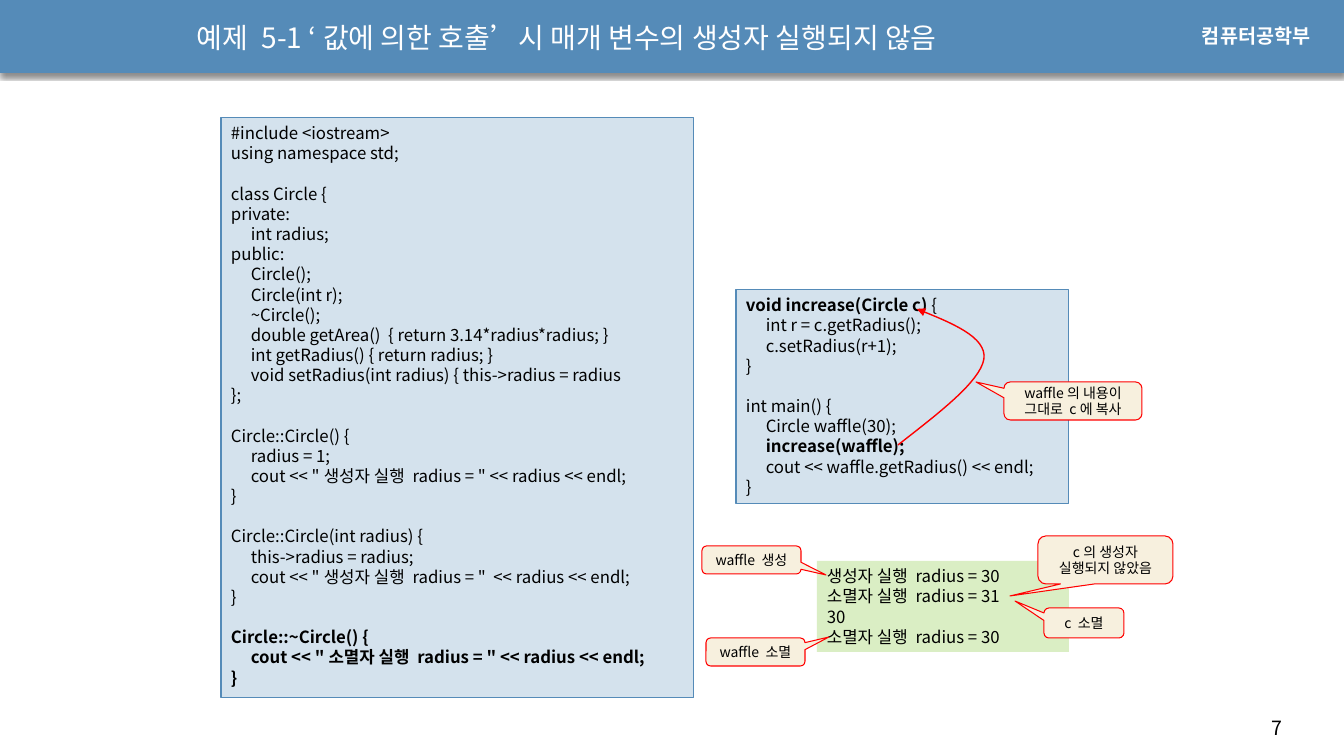
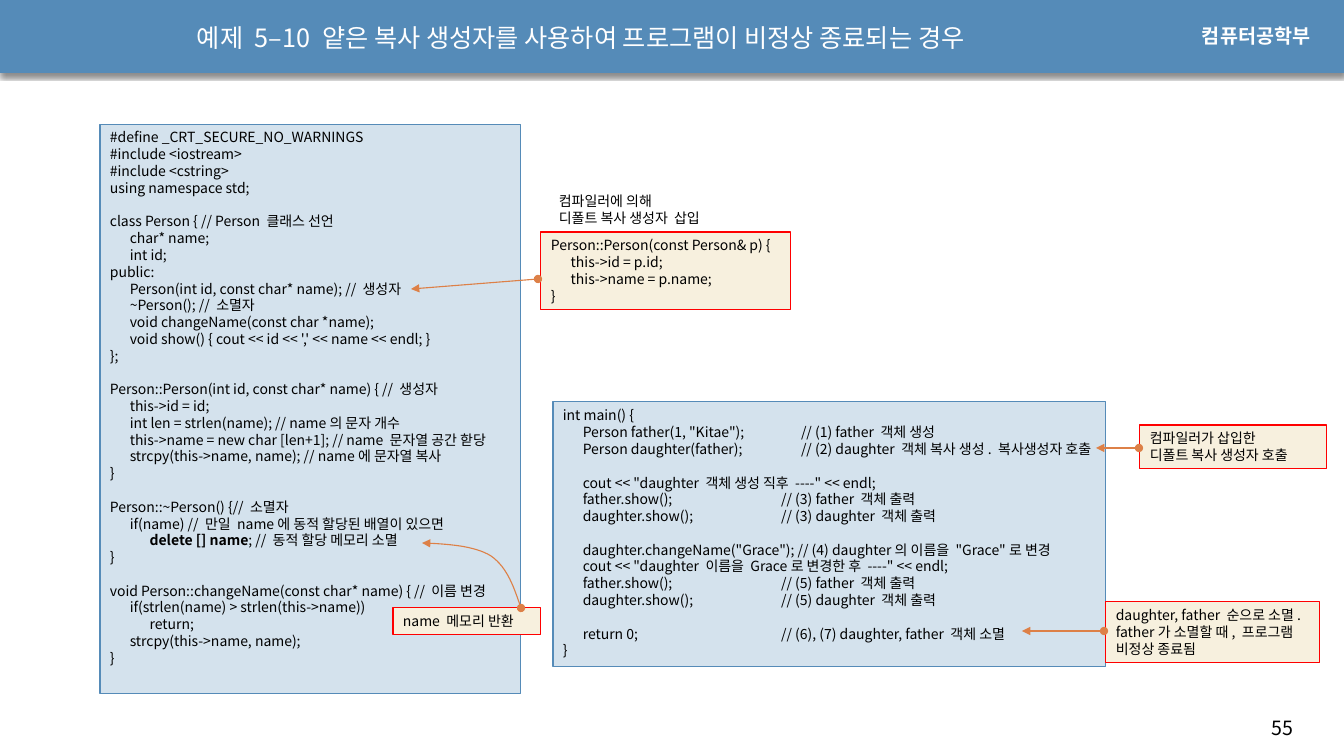
from lxml import etree
from pptx import Presentation
from pptx.dml.color import RGBColor
from pptx.enum.shapes import MSO_CONNECTOR, MSO_SHAPE
from pptx.enum.text import MSO_ANCHOR, PP_ALIGN
from pptx.oxml.ns import qn
from pptx.util import Mm, Pt

RECT = MSO_SHAPE.RECTANGLE
BUBBLE = MSO_SHAPE.ROUNDED_RECTANGULAR_CALLOUT
LINE = MSO_CONNECTOR.STRAIGHT
TOP, MID = MSO_ANCHOR.TOP, MSO_ANCHOR.MIDDLE
LEFT, MIDDLE = PP_ALIGN.LEFT, PP_ALIGN.CENTER

SCALE = 914400 / 100.8
SIZE = (1344, 756)

THEME = {
    "font": "Noto Sans CJK KR", "brand": "Arial",
    "band": "558BB8", "white": "FFFFFF", "ink": "000000",
    "code": "D4E2ED", "out": "DAEEC4", "note": "F7F0DE",
    "red": "FF0000", "orange": "DD8047",
    "edge": 0.75, "small": 10, "mark": 14,
    "lead": 1.2, "tab": Mm(5), "stops": 12,
}

# Box styles: fill, line
STYLES = {
    "code": ("code", "band"),
    "out": ("out", None),
    "note": ("note", "red"),
    "plain": (None, None),
}

# Arrow styles: colour, width, start mark
ARROWS = {"copy": ("red", 1, None), "link": ("orange", 0.79, "oval")}

# Content: ** switches bold on and off, an empty line opens a gap
CIRCLE = """#include <iostream>
using namespace std;

class Circle {
private:
\tint radius;
public:
\tCircle();
\tCircle(int r);
\t~Circle();
\tdouble getArea()  { return 3.14*radius*radius; }
\tint getRadius() { return radius; }
\tvoid setRadius(int radius) { this->radius = radius
};

Circle::Circle() {
\tradius = 1;
\tcout << "생성자 실행 radius = " << radius << endl;
}

Circle::Circle(int radius) {
\tthis->radius = radius;
\tcout << "생성자 실행 radius = "  << radius << endl;
}

**Circle::~Circle() {**
**\tcout << "소멸자 실행 radius = " << radius << endl;**
**}**"""

WAFFLE = """**void increase(Circle c) **{
\tint r = c.getRadius();
\tc.setRadius(r+1);
}

int main() {
\tCircle waffle(30);
\t**increase(waffle);**
\tcout << waffle.getRadius() << endl;
}"""

OUTPUT = """생성자 실행 radius = 30
소멸자 실행 radius = 31
30
소멸자 실행 radius = 30"""

PERSON = """#define _CRT_SECURE_NO_WARNINGS
#include <iostream>
#include <cstring>
using namespace std;

class Person { // Person 클래스 선언
\tchar* name;
\tint id;
public:
\tPerson(int id, const char* name); // 생성자
\t~Person(); // 소멸자
\tvoid changeName(const char *name);
\tvoid show() { cout << id << ',' << name << endl; }
};

Person::Person(int id, const char* name) { // 생성자
\tthis->id = id;
\tint len = strlen(name); // name의 문자 개수
\tthis->name = new char [len+1]; // name 문자열 공간 핟당
\tstrcpy(this->name, name); // name에 문자열 복사
}

Person::~Person() {// 소멸자
\tif(name) // 만일 name에 동적 할당된 배열이 있으면
\t\t**delete [] name**; // 동적 할당 메모리 소멸
}

void Person::changeName(const char* name) { // 이름 변경
\tif(strlen(name) > strlen(this->name))
\t\treturn;
\tstrcpy(this->name, name);
}"""

SHALLOW = """Person::Person(const Person& p) {
\tthis->id = p.id;
\tthis->name = p.name;
}"""

FAMILY = """int main() {
\tPerson father(1, "Kitae");\t\t\t// (1) father 객체 생성
\tPerson daughter(father);\t\t\t// (2) daughter 객체 복사 생성. 복사생성자 호출

\tcout << "daughter 객체 생성 직후 ----" << endl;
\tfather.show();\t\t\t\t\t\t// (3) father 객체 출력
\tdaughter.show();\t\t\t\t\t// (3) daughter 객체 출력

\tdaughter.changeName("Grace"); // (4) daughter의 이름을 "Grace"로 변경
\tcout << "daughter 이름을 Grace로 변경한 후 ----" << endl;
\tfather.show();\t\t\t\t\t\t// (5) father 객체 출력
\tdaughter.show();\t\t\t\t\t// (5) daughter 객체 출력

\treturn 0;\t\t\t\t\t\t\t\t// (6), (7) daughter, father 객체 소멸
}"""

# boxes: style, place, text; bubbles: place, tip, text; arrows: style, points
SLIDES = [
    {
        "title": "예제 5-1 ‘값에 의한 호출’시 매개 변수의 생성자 실행되지 않음",
        "head": 20, "body": 12, "page": "7",
        "boxes": [
            ("code", (221, 118, 473, 580), CIRCLE),
            ("code", (736, 290, 333, 214), WAFFLE),
            ("out", (817, 561, 252, 91), OUTPUT),
        ],
        "bubbles": [
            ((702, 546, 99, 28), (826, 575), "waffle 생성"),
            ((1044, 608, 80, 30), (1015, 601), "c 소멸"),
            ((1038, 536, 135, 48), (1010, 596), "c의 생성자\n실행되지 않았음"),
            ((706, 638, 99, 28), (829, 637), "waffle 소멸"),
            ((1004, 382, 138, 38), (976, 382), "waffle의 내용이\n그대로 c에 복사"),
        ],
        "arrows": [
            ("copy", [(898, 445), (939, 413), (980, 382), (984, 359),
                      (987, 337), (952, 323), (917, 309)]),
        ],
    },
    {
        "title": "예제 5–10 얕은 복사 생성자를 사용하여 프로그램이 비정상 종료되는 경우",
        "head": 18, "body": 10, "page": "55",
        "boxes": [
            ("code", (100, 124, 421, 570), PERSON),
            ("note", (541, 232, 250, 78), SHALLOW),
            ("plain", (549, 188, 195, 44), "컴파일러에 의해\n디폴트 복사 생성자  삽입"),
            ("note", (393, 608, 148, 27), "name 메모리 반환"),
            ("code", (553, 402, 553, 265), FAMILY),
            ("note", (1140, 425, 187, 44), "컴파일러가 삽입한\n디폴트 복사 생성자 호출"),
            ("note", (1106, 602, 214, 61),
             "daughter, father 순으로 소멸.\nfather가 소멸할 때, 프로그램\n비정상 종료됨"),
        ],
        "bubbles": [],
        "arrows": [
            ("link", [(521, 608), (514, 588), (508, 568), (491, 556),
                      (475, 546), (449, 544), (422, 543)]),
            ("link", [(538, 279), (411, 289)]),
            ("link", [(1139, 448), (1096, 448)]),
            ("link", [(1104, 631), (1022, 631)]),
        ],
    },
]


def emu(*vals):
    return [round(val * SCALE) for val in vals]


def tint(name):
    return RGBColor.from_string(THEME[name])


def node(base, tag, **attrs):
    item = etree.SubElement(base, qn(tag))
    for key, val in attrs.items():
        item.set(key, str(val))
    return item


# Text
def write(shape, text, size, color="ink", align=LEFT, anchor=TOP,
          font="font", bold=False):
    frame = shape.text_frame
    frame.word_wrap = True
    frame.vertical_anchor = anchor
    lead = Pt(size * THEME["lead"])
    para, gap = None, False
    for line in text.split("\n"):
        if not line:
            gap = True
            continue
        para = frame.add_paragraph() if para else frame.paragraphs[0]
        form = {"alignment": align, "line_spacing": lead,
                "space_before": lead if gap else Pt(0)}
        for key, val in form.items():
            setattr(para, key, val)
        if "\t" in line:
            tabs = node(para._p.get_or_add_pPr(), "a:tabLst")
            for stop in range(1, THEME["stops"] + 1):
                node(tabs, "a:tab", pos=stop * THEME["tab"], algn="l")
        for turn, part in enumerate(line.split("**")):
            if part:
                run = para.add_run()
                run.text = part
                form = {"name": THEME[font], "size": Pt(size),
                        "bold": bold or turn % 2 == 1}
                for key, val in form.items():
                    setattr(run.font, key, val)
                run.font.color.rgb = tint(color)
                node(run._r.get_or_add_rPr(), "a:ea", typeface=THEME[font])
        gap = False


def label(slide, place, text, size, **form):
    write(slide.shapes.add_textbox(*emu(*place)), text, size, **form)


# Shapes
def block(slide, kind, place, fill, edge):
    shape = slide.shapes.add_shape(kind, *emu(*place))
    shape.shadow.inherit = False
    shape.fill.solid()
    shape.fill.fore_color.rgb = tint(fill)
    if edge:
        shape.line.color.rgb = tint(edge)
        shape.line.width = Pt(THEME["edge"])
    else:
        shape.line.fill.background()
    return shape


def bubble(slide, place, tip, text):
    shape = block(slide, BUBBLE, place, *STYLES["note"])
    left, top, wide, high = place
    shape.adjustments[0] = (tip[0] - left) / wide - 0.5
    shape.adjustments[1] = (tip[1] - top) / high - 0.5
    write(shape, text, THEME["small"], align=MIDDLE, anchor=MID)


def trace(points, steps=16):
    """Points along joined cubic curves."""
    path = [points[0]]
    for start in range(0, len(points) - 1, 3):
        quad = points[start:start + 4]
        for step in range(1, steps + 1):
            t = step / steps
            u = 1 - t
            parts = (u ** 3, 3 * u * u * t, 3 * u * t * t, t ** 3)
            path.append(tuple(sum(w * p[axis] for w, p in zip(parts, quad))
                              for axis in (0, 1)))
    return path


def arrow(slide, style, points):
    color, width, start = ARROWS[style]
    if len(points) == 2:
        shape = slide.shapes.add_connector(LINE, *emu(*points[0], *points[1]))
    else:
        path = [emu(*point) for point in trace(points)]
        pen = slide.shapes.build_freeform(*path[0])
        pen.add_line_segments(path[1:], close=False)
        shape = pen.convert_to_shape()
        shape.fill.background()
    shape.line.color.rgb = tint(color)
    shape.line.width = Pt(width)
    edge = shape.line._get_or_add_ln()
    if start:
        node(edge, "a:headEnd", type=start)
    node(edge, "a:tailEnd", type="triangle")
    node(shape._element.spPr, "a:effectLst")


# Shared band, title, brand and page number
def base(slide, data):
    band = block(slide, RECT, (0, -1, SIZE[0], 74), "band", None)
    glow = node(band._element.spPr.find(qn("a:effectLst")), "a:outerShdw",
                blurRad=Pt(3), dist=Pt(2.4), dir=90 * 60000, rotWithShape=0)
    node(node(glow, "a:srgbClr", val=THEME["ink"]), "a:alpha", val=45000)
    label(slide, (187, 5, 976, 64), data["title"], data["head"],
          color="white", anchor=MID)
    label(slide, (1192, 19, 138, 34), "컴퓨터공학부", THEME["mark"],
          color="white", font="brand", bold=True)
    label(slide, (1262, 711, 72, 34), data["page"], THEME["mark"])


def main():
    deck = Presentation()
    deck.slide_width, deck.slide_height = emu(*SIZE)
    for data in SLIDES:
        slide = deck.slides.add_slide(deck.slide_layouts[6])
        base(slide, data)
        for style, place, text in data["boxes"]:
            fill, edge = STYLES[style]
            if fill:
                write(block(slide, RECT, place, fill, edge), text, data["body"])
            else:
                label(slide, place, text, data["body"])
        for item in data["bubbles"]:
            bubble(slide, *item)
        for item in data["arrows"]:
            arrow(slide, *item)
    deck.save("out.pptx")


if __name__ == "__main__":
    main()
